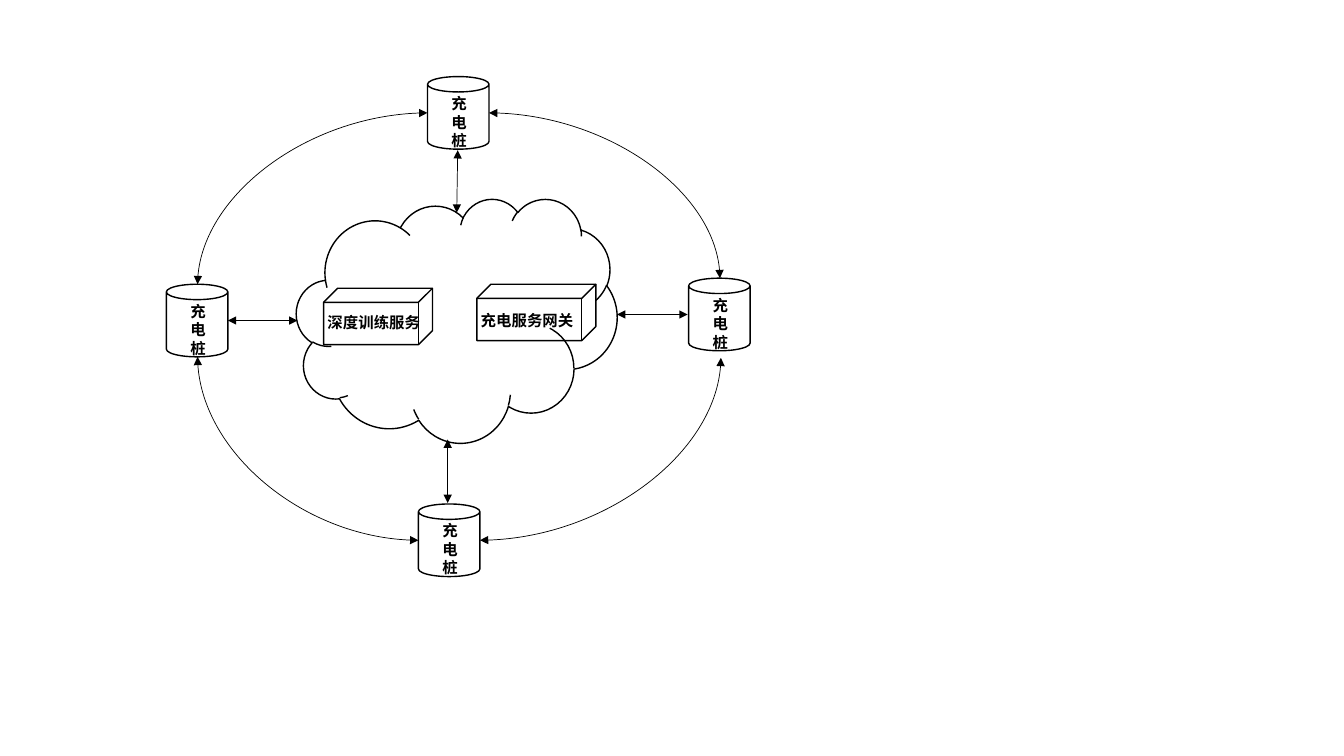
from pptx import Presentation
from pptx.dml.color import RGBColor as RGB
from pptx.enum.shapes import MSO_CONNECTOR as Link, MSO_SHAPE as Form
from pptx.enum.text import MSO_AUTO_SIZE as Fit
from pptx.oxml.ns import qn
from pptx.oxml.xmlchemy import OxmlElement as Node
from pptx.util import Inches, Pt

theme = {
    "ink": RGB(0, 0, 0), "edge": Pt(1), "wire": Pt(0.5),
    "font": {"name": "Calibri", "size": Pt(11), "bold": True},
}
unit = Inches(0.1)  # grid of 0.1 inch columns and rows

deck = Presentation()
deck.slide_width, deck.slide_height = Inches(13.33), Inches(7.5)
slide = deck.slides.add_slide(deck.slide_layouts[6])
shapes = slide.shapes


def grid(*cells):
    return [round(cell * unit) for cell in cells]


def label(lines, *cells):
    box = shapes.add_textbox(*grid(*cells))
    frame = box.text_frame
    frame.word_wrap, frame.auto_size = False, Fit.SHAPE_TO_FIT_TEXT
    frame.text = "\n".join(lines)
    for para in frame.paragraphs:
        font = para.runs[0].font
        font.color.rgb = theme["ink"]
        for key, value in theme["font"].items():
            setattr(font, key, value)


# Outlines: four charging piles, the cloud and its two services
wide, high = 6.1, 7.2
piles = {"west": (16.5, 28.2), "north": (42.4, 7.6),
         "east": (68.3, 27.6), "south": (41.5, 50)}
forms = [(Form.CAN, *spot, wide, high) for spot in piles.values()]
forms += [(Form.CLOUD, 29.4, 19.7, 31.8, 24.2),
          (Form.CUBE, 32.1, 28.6, 10.8, 5.6),
          (Form.CUBE, 47.3, 28.2, 11.8, 5.6)]
for form, *cells in forms:
    shape = shapes.add_shape(form, *grid(*cells))
    shape.shadow.inherit = False
    shape.fill.background()
    shape.line.color.rgb, shape.line.width = theme["ink"], theme["edge"]

# Labels
for left, top in piles.values():
    label("充电桩", left + 1.4, top + 1.25, 3.6, 6.6)
label(["深度训练服务"], 31.5, 30.6, 11.3, 2.9)
label(["充电服务网关"], 46.7, 30.4, 11.3, 2.9)

# Two-way arrows: spokes to the cloud, then arcs between the piles
spokes = [(22.6, 31.8, 29.5, 31.8), (44.4, 43.6, 44.4, 49.9),
          (45.4, 14.9, 45.3, 21.1), (61.2, 31.2, 68.2, 31.2)]
arcs = [(47.6, 53.6, 71.5, 35.5), (48.5, 11.2, 71.4, 27.6),
        (42.4, 11.2, 19.6, 28.2), (41.5, 53.6, 19.6, 35.4)]
for kind, ways in ((Link.STRAIGHT, spokes), (Link.CURVE, arcs)):
    for way in ways:
        wire = shapes.add_connector(kind, *grid(*way))
        wire.line.color.rgb, wire.line.width = theme["ink"], theme["wire"]
        props = wire.element.spPr
        if kind == Link.CURVE:  # a quarter turn instead of an S
            props.find(qn("a:prstGeom")).set("prst", "curvedConnector2")
        for end in ("a:headEnd", "a:tailEnd"):
            tip = Node(end)
            tip.set("type", "triangle")
            props.find(qn("a:ln")).append(tip)
        props.append(Node("a:effectLst"))

deck.save("out.pptx")
